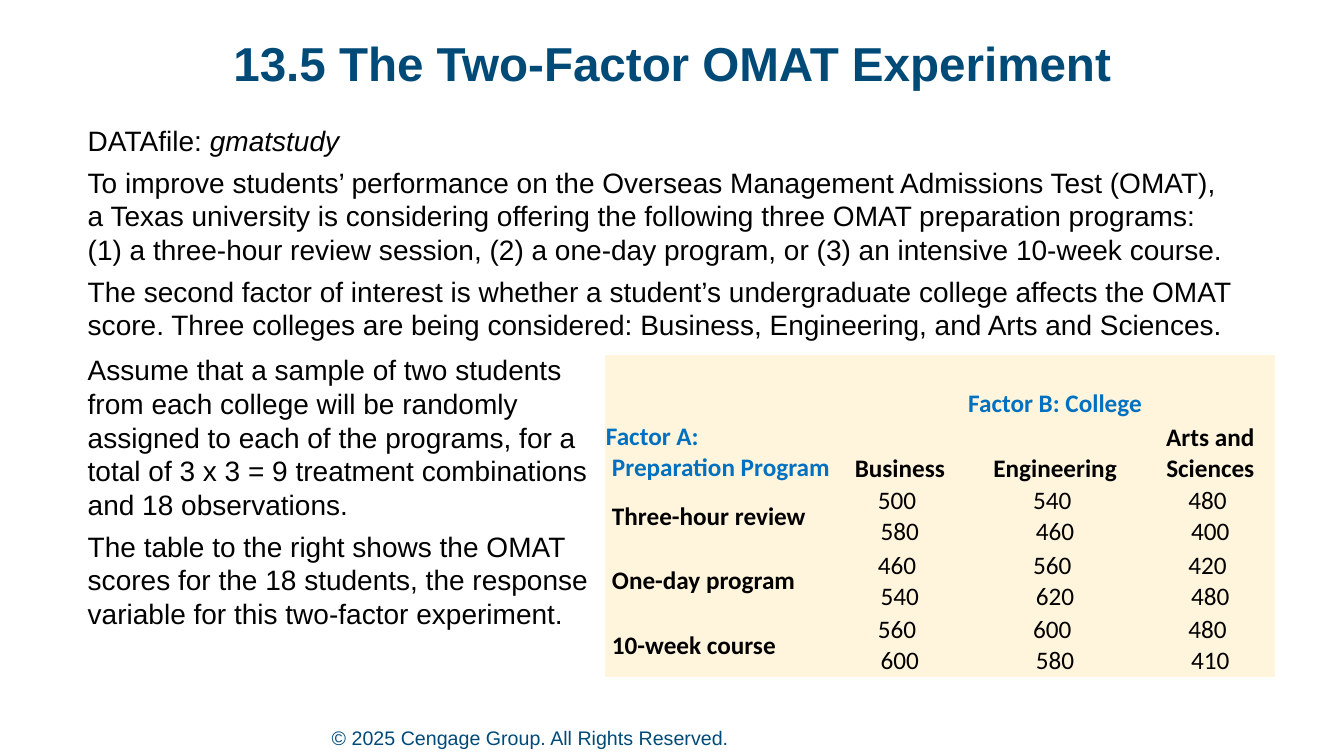
from lxml.etree import SubElement
from pptx import Presentation
from pptx.dml.color import RGBColor
from pptx.enum.text import MSO_ANCHOR as Anchor, MSO_AUTO_SIZE as AutoSize, PP_ALIGN as Align
from pptx.oxml.ns import qn
from pptx.util import Inches, Pt

COLORS = {"navy": "004A78", "blue": "0070C0", "black": "000000", "cream": "FFF4DC"}
NO_GRID_STYLE = "{2D5ABB26-0587-4C30-8999-92F81FD0307C}"
LABEL_INDENT = Inches(0.06)

TITLE_FORMAT = {"name": "Arial", "size": Pt(34), "bold": True}
BODY_FORMAT = {"name": "Arial", "size": Pt(20)}
FOOTER_FORMAT = {"name": "Arial", "size": Pt(14)}
HEAD_FORMAT = {"name": "Calibri", "size": Pt(18), "bold": True}
SCORE_FORMAT = {**HEAD_FORMAT, "bold": False}

# Each paragraph is a list of (words, italic) runs
STUDY = [
    [("DATAfile: ", False), ("gmatstudy", True)],
    [("To improve students’ performance on the Overseas Management Admissions Test (OMAT), "
      "a Texas university is considering offering the following three OMAT preparation "
      "programs: (1) a three-hour review session, (2) a one-day program, or (3) an "
      "intensive 10-week course.", False)],
    [("The second factor of interest is whether a student’s undergraduate college affects "
      "the OMAT score. Three colleges are being considered: Business, Engineering, and "
      "Arts and Sciences.", False)],
]
SAMPLE = [
    [("Assume that a sample of two students from each college will be randomly assigned to "
      "each of the programs, for a total of 3 x 3 = 9 treatment combinations and 18 "
      "observations.", False)],
    [("The table to the right shows the OMAT scores for the 18 students, the response "
      "variable for this two-factor experiment.", False)],
]
COLLEGES = ["Business", "Engineering", "Arts and Sciences"]
SCORES = {
    "Three-hour review": [(500, 580), (540, 460), (480, 400)],
    "One-day program": [(460, 540), (560, 620), (420, 480)],
    "10-week course": [(560, 600), (600, 580), (480, 410)],
}


def style(font, formats, color):
    for attribute, value in formats.items():
        setattr(font, attribute, value)
    font.color.rgb = RGBColor.from_string(COLORS[color])


def place(part, box):
    for side, length in zip(("left", "top", "width", "height"), box):
        setattr(part, side, Inches(length))


def set_frame(frame, anchor, bottom=0):
    settings = {"margin_left": 0, "margin_top": 0, "margin_right": 0,
                "margin_bottom": Inches(bottom), "word_wrap": True,
                "auto_size": AutoSize.NONE, "vertical_anchor": anchor}
    for attribute, value in settings.items():
        setattr(frame, attribute, value)


def add_title(slide, box):
    title = slide.shapes.title
    place(title, box)
    set_frame(title.text_frame, Anchor.TOP)
    title.text_frame.text = "13.5 The Two-Factor OMAT Experiment"
    heading = title.text_frame.paragraphs[0]
    heading.alignment, heading.line_spacing = Align.CENTER, 0.9
    style(heading.runs[0].font, TITLE_FORMAT, "navy")


def add_body(body, paragraphs, box):
    place(body, box)
    frame = body.text_frame
    set_frame(frame, Anchor.TOP)
    for number, runs in enumerate(paragraphs):
        paragraph = frame.add_paragraph() if number else frame.paragraphs[0]
        properties = paragraph._p.get_or_add_pPr()
        properties.set("marL", "0")
        properties.set("indent", "0")
        SubElement(properties, qn("a:buNone"))
        paragraph.space_before = Pt(6 if number else 0)
        for words, italic in runs:
            run = paragraph.add_run()
            run.text = words
            style(run.font, {**BODY_FORMAT, "italic": italic}, "black")


def fill_cell(cell, lines, formats, color, anchor, align=Align.CENTER, indents=(0, 0)):
    cell.vertical_anchor = anchor
    cell.text_frame.text = "\n".join(lines)
    for paragraph, indent in zip(cell.text_frame.paragraphs, indents):
        paragraph._p.get_or_add_pPr().set("marL", str(indent))
        paragraph.alignment = align
        style(paragraph.runs[0].font, formats, color)


def add_scores(slide, box):
    rows, columns = len(SCORES) + 2, len(COLLEGES) + 1
    frame = slide.shapes.add_table(rows, columns, *map(Inches, box))
    table = frame.table
    table._tbl.tblPr.find(qn("a:tableStyleId")).text = NO_GRID_STYLE
    for column, width in zip(table.columns, (2.28, 1.29, 1.79, 1.29)):
        column.width = Inches(width)
    for cell in table.iter_cells():
        cell.fill.solid()
        cell.fill.fore_color.rgb = RGBColor.from_string(COLORS["cream"])
        cell.margin_left = cell.margin_top = cell.margin_right = Inches(0.01)
        cell.margin_bottom = 0

    # Factor headings and college names
    fill_cell(table.cell(0, 2), ["Factor B: College"], HEAD_FORMAT, "blue", Anchor.BOTTOM)
    fill_cell(table.cell(1, 0), ["Factor A:", "Preparation Program"], HEAD_FORMAT, "blue",
              Anchor.MIDDLE, Align.LEFT, (0, LABEL_INDENT))
    for column, college in enumerate(COLLEGES, 1):
        fill_cell(table.cell(1, column), [college], HEAD_FORMAT, "black", Anchor.BOTTOM)

    # Two scores for each program and college
    for row, (program, pairs) in enumerate(SCORES.items(), 2):
        fill_cell(table.cell(row, 0), [program], HEAD_FORMAT, "black",
                  Anchor.MIDDLE, Align.LEFT, (LABEL_INDENT,))
        for column, (first, second) in enumerate(pairs, 1):
            fill_cell(table.cell(row, column), [f"{first} ", f"{second}"],
                      SCORE_FORMAT, "black", Anchor.MIDDLE)


def add_footer(slide, box):
    footer = slide.shapes.add_textbox(*map(Inches, box))
    set_frame(footer.text_frame, Anchor.BOTTOM, 0.05)
    footer.text_frame.text = "© 2025 Cengage Group. All Rights Reserved."
    style(footer.text_frame.paragraphs[0].runs[0].font, FOOTER_FORMAT, "navy")


def main():
    deck = Presentation()
    deck.slide_width, deck.slide_height = Inches(13.33), Inches(7.5)
    slide = deck.slides.add_slide(deck.slide_layouts[3])
    left, table_left = 0.87, 6
    add_footer(slide, (3.29, 7.19, 9.79, 0.29))
    add_title(slide, (0.92, 0.4, 11.5, 0.74))
    add_body(slide.placeholders[1], STUDY, (left, 1.22, 11.38, 2.21))
    add_body(slide.placeholders[2], SAMPLE, (left, 3.5, 5.02, 2.87))
    add_scores(slide, (table_left, 3.52, 6.65, 3.2))
    deck.save("out.pptx")


if __name__ == "__main__":
    main()
